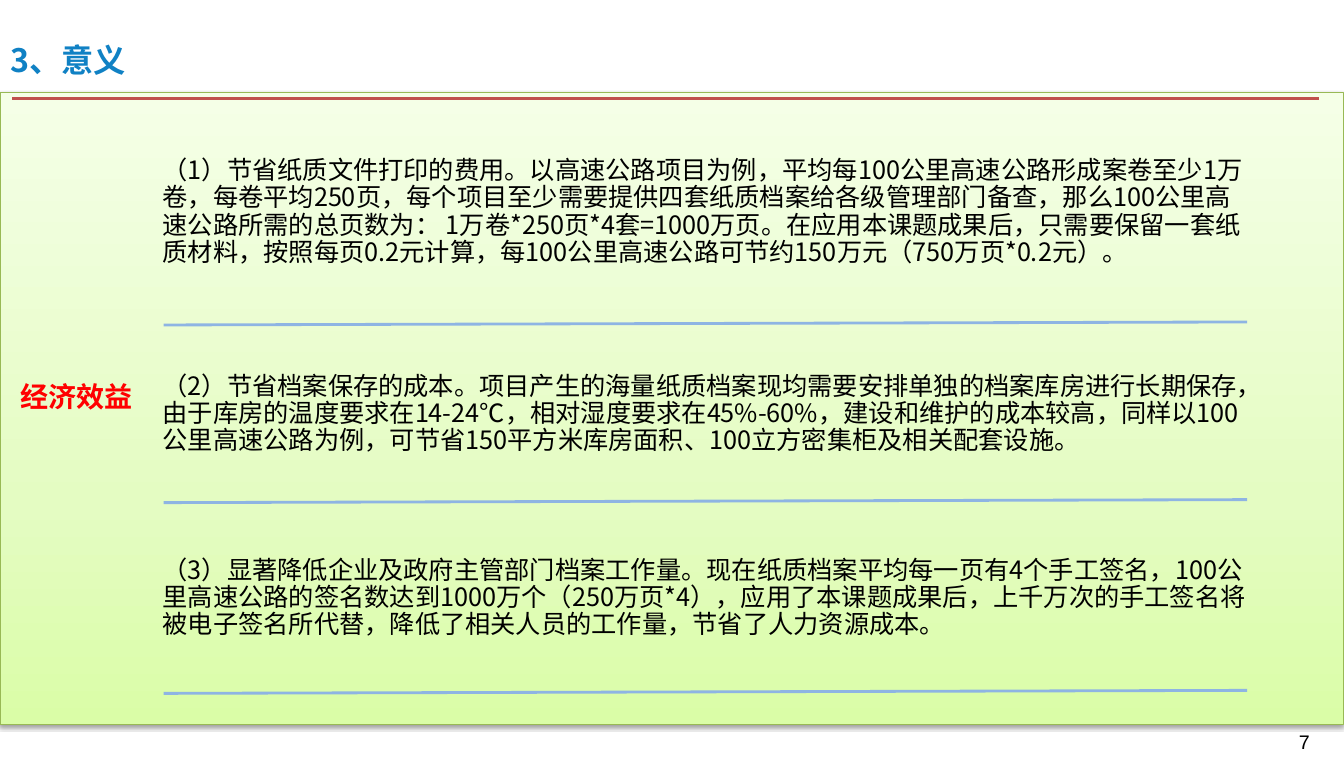
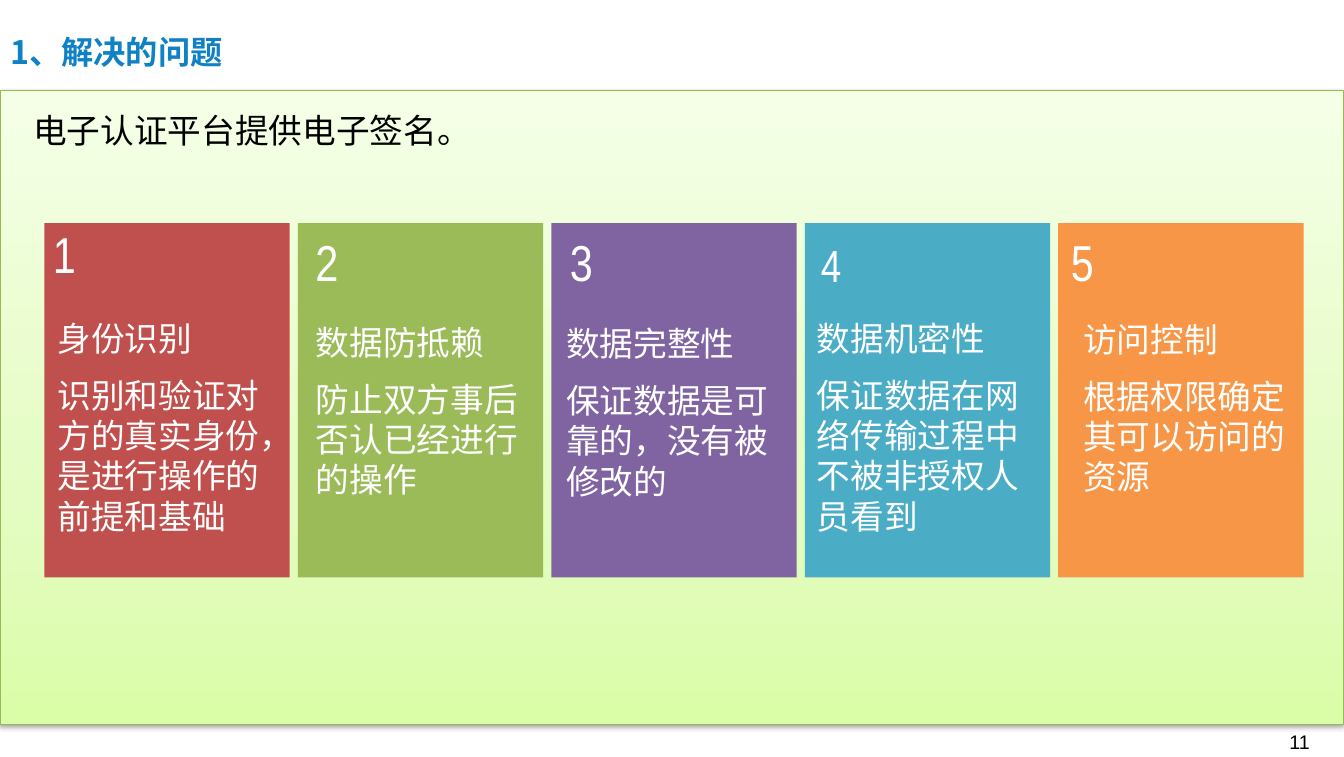
from pptx import Presentation
from pptx.dml.color import RGBColor
from pptx.enum.shapes import MSO_CONNECTOR, MSO_SHAPE
from pptx.enum.text import MSO_ANCHOR, PP_ALIGN
from pptx.oxml import parse_xml
from pptx.oxml.ns import nsdecls, qn
from pptx.util import Inches, Pt

BLACK = RGBColor(0x00, 0x00, 0x00)
WHITE = RGBColor(0xFF, 0xFF, 0xFF)
TITLE_BLUE = RGBColor(0x10, 0x81, 0xC4)
PANEL_EDGE = RGBColor(0x98, 0xB9, 0x55)
ALERT_RED = RGBColor(0xFF, 0x00, 0x00)
RED = RGBColor(0xC0, 0x50, 0x4D)
GREEN = RGBColor(0x9B, 0xBB, 0x59)
PURPLE = RGBColor(0x80, 0x64, 0xA2)
TEAL = RGBColor(0x4B, 0xAC, 0xC6)
ORANGE = RGBColor(0xF7, 0x96, 0x46)
RULE_BLUE = RGBColor(0x8E, 0xB4, 0xE3)

CJK = "Noto Sans CJK SC"
SLIDE_WIDTH = 13.31
PANEL_BOTTOM = 7.18
PANEL_STOPS = [(0, "DAFDA7"), (35, "E4FCC2"), (100, "F5FFE7")]


def write(shape, text, size, color, font=CJK, bold=False, align=PP_ALIGN.LEFT,
          anchor=MSO_ANCHOR.TOP, inset=(0.1, 0.05), line=None, before=0, after=0):
    """Fill a shape with wrapped text in one style; inset is (sides, top and bottom)."""
    frame = shape.text_frame
    frame.text = text
    frame.word_wrap = True
    frame.vertical_anchor = anchor
    frame.margin_left = frame.margin_right = Inches(inset[0])
    frame.margin_top = frame.margin_bottom = Inches(inset[1])
    for paragraph in frame.paragraphs:
        paragraph.alignment = align
        paragraph.line_spacing = line
        paragraph.space_before, paragraph.space_after = Pt(before), Pt(after)
        for run in paragraph.runs:
            run.font.name, run.font.size, run.font.bold = font, Pt(size), bold
            run.font.color.rgb = color
            east_asian = run.font._element.makeelement(qn("a:ea"), {"typeface": CJK})
            run.font._element.find(qn("a:latin")).addnext(east_asian)


def add_rule(slide, x1, y1, x2, y2, color):
    rule = slide.shapes.add_connector(
        MSO_CONNECTOR.STRAIGHT, Inches(x1), Inches(y1), Inches(x2), Inches(y2))
    rule.line.color.rgb = color
    rule.line.width = Pt(2)
    rule._element.spPr.append(parse_xml(f"<a:effectLst {nsdecls('a')}/>"))


prs = Presentation()
prs.slide_width, prs.slide_height = Inches(SLIDE_WIDTH), Inches(7.5)

# Shared frame: title, gradient panel, page number
slides, panels = [], []
for title, title_top, title_width, panel_top, page in [
    ("3、意义", 0.21, 10.08, 0.92, "7"),
    ("1、解决的问题", 0.13, 10.86, 0.9, "11"),
]:
    slide = prs.slides.add_slide(prs.slide_layouts[5])
    heading = slide.shapes.title
    heading.left, heading.top = Inches(0), Inches(title_top)
    heading.width, heading.height = Inches(title_width), Inches(0.77)
    write(heading, title, 23, TITLE_BLUE, bold=True, anchor=MSO_ANCHOR.MIDDLE)

    panel = slide.shapes.add_shape(
        MSO_SHAPE.RECTANGLE, Inches(0), Inches(panel_top),
        Inches(SLIDE_WIDTH), Inches(PANEL_BOTTOM - panel_top))
    panel.line.color.rgb = PANEL_EDGE
    panel.line.width = Pt(0.75)
    stops = "".join(f'<a:gs pos="{pos * 1000}"><a:srgbClr val="{color}"/></a:gs>'
                    for pos, color in PANEL_STOPS)
    properties = panel._element.spPr
    properties.find(qn("a:prstGeom")).addnext(parse_xml(
        f'<a:gradFill {nsdecls("a")} rotWithShape="1"><a:gsLst>{stops}</a:gsLst>'
        '<a:lin ang="16200000" scaled="0"/></a:gradFill>'))
    properties.append(parse_xml(
        f'<a:effectLst {nsdecls("a")}><a:outerShdw blurRad="{Pt(3.1)}" dist="{Pt(1.6)}" '
        'dir="5400000" rotWithShape="0"><a:srgbClr val="000000"><a:alpha val="38000"/>'
        '</a:srgbClr></a:outerShdw></a:effectLst>'))

    number = slide.shapes.add_textbox(Inches(9.96), Inches(7.18), Inches(3.11), Inches(0.27))
    write(number, page, 14, BLACK, font="Arial", align=PP_ALIGN.RIGHT)
    slides.append(slide)
    panels.append(panel)

benefit_slide, problem_slide = slides

# Economic benefits
add_rule(benefit_slide, 0.12, 0.98, 13.06, 0.98, RED)
topic = benefit_slide.shapes.add_textbox(Inches(0.12), Inches(0.98), Inches(1.51), Inches(5.92))
write(topic, "经济效益", 20, ALERT_RED, bold=True, anchor=MSO_ANCHOR.MIDDLE,
      inset=(0.08, 0.08), line=Pt(21.5), after=7)

benefits = [
    (1.01, 2.18, "（1）节省纸质文件打印的费用。以高速公路项目为例，平均每100公里高速公路形成案卷至少1万卷，"
     "每卷平均250页，每个项目至少需要提供四套纸质档案给各级管理部门备查，那么100公里高速公路所需的总页数为： "
     "1万卷*250页*4套=1000万页。在应用本课题成果后，只需要保留一套纸质材料，按照每页0.2元计算，"
     "每100公里高速公路可节约150万元（750万页*0.2元）。"),
    (3.25, 1.7, "（2）节省档案保存的成本。项目产生的海量纸质档案现均需要安排单独的档案库房进行长期保存，"
     "由于库房的温度要求在14-24℃，相对湿度要求在45%-60%，建设和维护的成本较高，"
     "同样以100公里高速公路为例，可节省150平方米库房面积、100立方密集柜及相关配套设施。"),
    (5.01, 1.83, "（3）显著降低企业及政府主管部门档案工作量。现在纸质档案平均每一页有4个手工签名，"
     "100公里高速公路的签名数达到1000万个（250万页*4），应用了本课题成果后，"
     "上千万次的手工签名将被电子签名所代替，降低了相关人员的工作量，节省了人力资源成本。"),
]
for top, height, text in benefits:
    benefit = benefit_slide.shapes.add_textbox(
        Inches(1.54), Inches(top), Inches(10.94), Inches(height))
    write(benefit, text, 18, BLACK, anchor=MSO_ANCHOR.MIDDLE, inset=(0.07, 0.07),
          line=Pt(19.5), after=6)
    rule_y = top + height + 0.03
    add_rule(benefit_slide, 1.62, rule_y, 12.35, rule_y - 0.03, RULE_BLUE)

# Problems solved
write(panels[1], "电子认证平台提供电子签名。", 24, BLACK, inset=(0.33, 0.07), line=1.3)

CARD_LEFT, CARD_PITCH, CARD_TOP = 0.44, 2.51, 2.21
# colour, number (left, top, size), text (left, top, height), heading, explanation
cards = [
    (RED, (0.23, 2.19, 36), (0.47, 3.04, 2.32), "身份识别",
     "识别和验证对方的真实身份，是进行操作的前提和基础"),
    (GREEN, (2.83, 2.27, 36), (3.03, 3.08, 1.92), "数据防抵赖", "防止双方事后否认已经进行的操作"),
    (PURPLE, (5.35, 2.27, 36), (5.51, 3.09, 1.92), "数据完整性", "保证数据是可靠的，没有被修改的"),
    (TEAL, (7.81, 2.27, 32), (7.99, 3.04, 2.32), "数据机密性",
     "保证数据在网络传输过程中不被非授权人员看到"),
    (ORANGE, (10.31, 2.27, 36), (10.63, 3.05, 1.92), "访问控制", "根据权限确定其可以访问的资源"),
]
for index, (color, number_spot, text_spot, heading, explanation) in enumerate(cards):
    card = problem_slide.shapes.add_shape(
        MSO_SHAPE.RECTANGLE, Inches(CARD_LEFT + index * CARD_PITCH), Inches(CARD_TOP),
        Inches(2.43), Inches(3.51))
    card.shadow.inherit = False
    card.fill.solid()
    card.fill.fore_color.rgb = color
    card.line.fill.background()

    left, top, size = number_spot
    ordinal = problem_slide.shapes.add_textbox(
        Inches(left), Inches(top), Inches(0.62), Inches(0.67))
    write(ordinal, str(index + 1), size, WHITE, font="Arial Narrow",
          align=PP_ALIGN.RIGHT, anchor=MSO_ANCHOR.BOTTOM)

    left, top, height = text_spot
    problem = problem_slide.shapes.add_textbox(
        Inches(left), Inches(top), Inches(2.32), Inches(height))
    write(problem, f"{heading}\n{explanation}", 24, WHITE, anchor=MSO_ANCHOR.BOTTOM,
          line=Pt(28.8), before=12)

prs.save("out.pptx")
